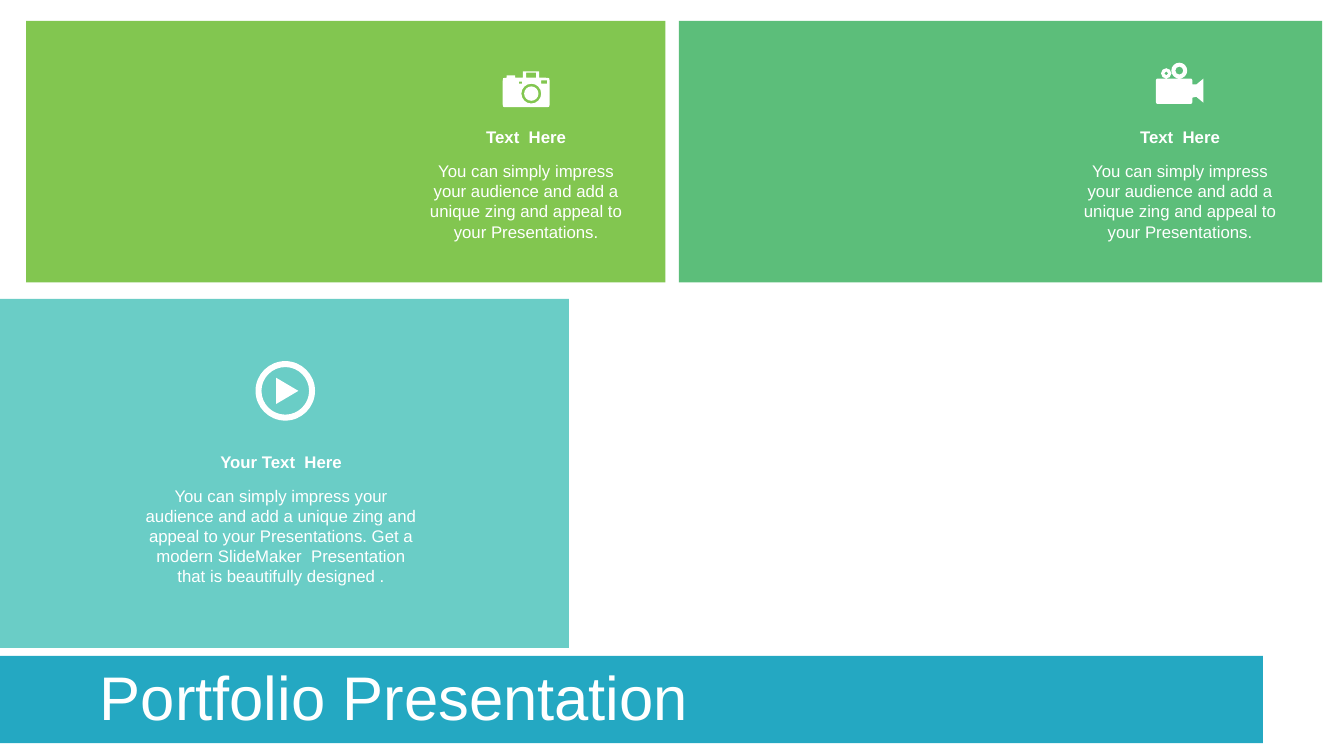
from lxml.etree import SubElement
from pptx import Presentation
from pptx.dml.color import RGBColor
from pptx.enum.shapes import MSO_SHAPE
from pptx.enum.text import MSO_ANCHOR, MSO_AUTO_SIZE, PP_ALIGN
from pptx.oxml.ns import qn
from pptx.util import Cm, Pt

WHITE = "FFFFFF"
PITCH = "You can simply impress your audience and add a unique zing and appeal to your Presentations."


def paint(shape, color, alpha=None):
    """Give a flat fill, with alpha in percent, and no line or shadow."""
    shape.shadow.inherit = False
    shape.line.fill.background()
    shape.fill.solid()
    shape.fill.fore_color.rgb = RGBColor.from_string(color)
    if alpha:
        tint = shape.element.spPr.find(".//" + qn("a:srgbClr"))
        SubElement(tint, qn("a:alpha"), val=str(alpha * 1000))


def write(frame, text, size=12, bold=False, align=PP_ALIGN.CENTER, space=None):
    frame.word_wrap = True
    para = frame.paragraphs[0]
    para.alignment = align
    para.line_spacing = space
    run = para.add_run()
    run.text = text
    font = run.font
    font.name, font.size, font.bold = "Arial", Pt(size), bold
    font.color.rgb = RGBColor.from_string(WHITE)


def panel(slide, left, top, width, height, color, alpha=None):
    shape = slide.shapes.add_shape(
        MSO_SHAPE.RECTANGLE, Cm(left), Cm(top), Cm(width), Cm(height))
    paint(shape, color, alpha)


def caption(slide, left, top, width, height, head, body):
    """Group a bold heading with the text below it."""
    group = slide.shapes.add_group_shape()
    rows = [(top + 0.86, height, body, False), (top, 0.76, head, True)]
    for y, tall, text, bold in rows:
        box = group.shapes.add_textbox(Cm(left), Cm(y), Cm(width), Cm(tall))
        write(box.text_frame, text, bold=bold)
        box.text_frame.auto_size = MSO_AUTO_SIZE.SHAPE_TO_FIT_TEXT


def bend(corner, end):
    """Round a corner: a curve step of two handles and an end."""
    return [corner, corner, end]


def disc(x, y, r):
    k = 0.55 * r
    return [(x, y - r),
            [(x + k, y - r), (x + r, y - k), (x + r, y)],
            [(x + r, y + k), (x + k, y + r), (x, y + r)],
            [(x - k, y + r), (x - r, y + k), (x - r, y)],
            [(x - r, y - k), (x - k, y - r), (x, y - r)]]


def block(left, top, width, height):
    right, low = left + width, top + height
    return [(left, top), (right, top), (right, low), (left, low)]


def spread(steps):
    """List the points of all steps in Cm."""
    for step in steps:
        for x, y in step if isinstance(step, list) else [step]:
            yield Cm(x), Cm(y)


def curve(shape, loops):
    """Join the three line ends of each curve step into one curve."""
    route = shape.element.find(".//" + qn("a:path"))
    lines = iter(list(route.iter(qn("a:lnTo"))))
    for step in (step for loop in loops for step in loop[1:]):
        first = next(lines)
        if isinstance(step, list):
            first.tag = qn("a:cubicBezTo")
            for line in (next(lines), next(lines)):
                first.append(line[0])
                route.remove(line)


def icon(slide, *loops):
    """Draw closed loops as one white shape; inner loops cut holes."""
    pen = None
    for loop in loops:
        start, *rest = spread(loop)
        if pen:
            pen.move_to(*start)
        else:
            pen = slide.shapes.build_freeform(*start)
        pen.add_line_segments(rest)
    shape = pen.convert_to_shape()
    curve(shape, loops)
    paint(shape, WHITE)


def play(slide):
    x, y = 7.19, 9.85
    arrow = [(6.96, 9.52), (7.52, y), (6.96, 10.18)]
    icon(slide, arrow, disc(x, y, 0.6), disc(x, y, 0.75))


def camera(slide):
    body = [(12.67, 2.06), bend((12.67, 1.96), (12.77, 1.96)),
            (12.77, 1.9), (12.98, 1.9), (12.98, 1.96), (13.18, 1.96),
            (13.18, 1.8), (13.59, 1.8), (13.59, 1.96), (13.75, 1.96),
            bend((13.85, 1.96), (13.85, 2.06)), (13.85, 2.61),
            bend((13.85, 2.7), (13.76, 2.7)), (12.76, 2.7),
            bend((12.67, 2.7), (12.67, 2.61))]
    lens = [disc(13.39, 2.36, r) for r in (0.18, 0.25)]
    slots = [block(13.08, 2.06, 0.08, 0.05), block(13.64, 2.03, 0.15, 0.08),
             block(13.26, 1.83, 0.25, 0.13)]
    icon(slide, *lens, *slots, body)


def video(slide):
    body = [(29.13, 2.08), bend((29.13, 1.98), (29.23, 1.98)),
            (29.95, 1.98), bend((30.05, 1.98), (30.05, 2.08)),
            (30.05, 2.13), (30.15, 2.13), (30.33, 1.98), (30.33, 2.59),
            (30.15, 2.44), (30.05, 2.46), (30.05, 2.52),
            bend((30.05, 2.62), (29.95, 2.62)), (29.23, 2.62),
            bend((29.13, 2.62), (29.13, 2.52))]
    reels = [disc(x, y, r) for x, y, radii in
             [(29.39, 1.85, (0.05, 0.13)), (29.72, 1.78, (0.1, 0.2))]
             for r in radii]
    icon(slide, *reels, body)


def headline(slide, text):
    title = slide.shapes.title
    slide.shapes.element.append(title.element)
    title.left, title.top = Cm(2.26), Cm(16.76)
    title.width, title.height = Cm(18.75), Cm(1.8)
    write(title.text_frame, text, size=44, align=PP_ALIGN.LEFT, space=0.9)
    title.text_frame.vertical_anchor = MSO_ANCHOR.MIDDLE
    title.text_frame.auto_size = MSO_AUTO_SIZE.NONE


def main():
    deck = Presentation()
    deck.slide_width, deck.slide_height = Cm(33.87), Cm(19.05)
    slide = deck.slides.add_slide(deck.slide_layouts[5])

    panel(slide, 0, 16.53, 31.83, 2.2, "24A8C2")
    panel(slide, 0.66, 0.53, 16.11, 6.59, "82C650")
    panel(slide, 17.11, 0.53, 16.21, 6.59, "5CBE7A")
    headline(slide, "Portfolio Presentation")
    for left in (10.54, 27.02):
        caption(slide, left, 3.07, 5.44, 2.31, "Text  Here", PITCH)

    panel(slide, 0, 7.53, 14.34, 8.8, "2CB8AE", alpha=70)
    caption(slide, 3.4, 11.25, 7.37, 2.82, "Your Text  Here",
            PITCH + " Get a modern SlideMaker  Presentation that is beautifully designed .")
    for draw in (play, camera, video):
        draw(slide)

    deck.save("out.pptx")


if __name__ == "__main__":
    main()
